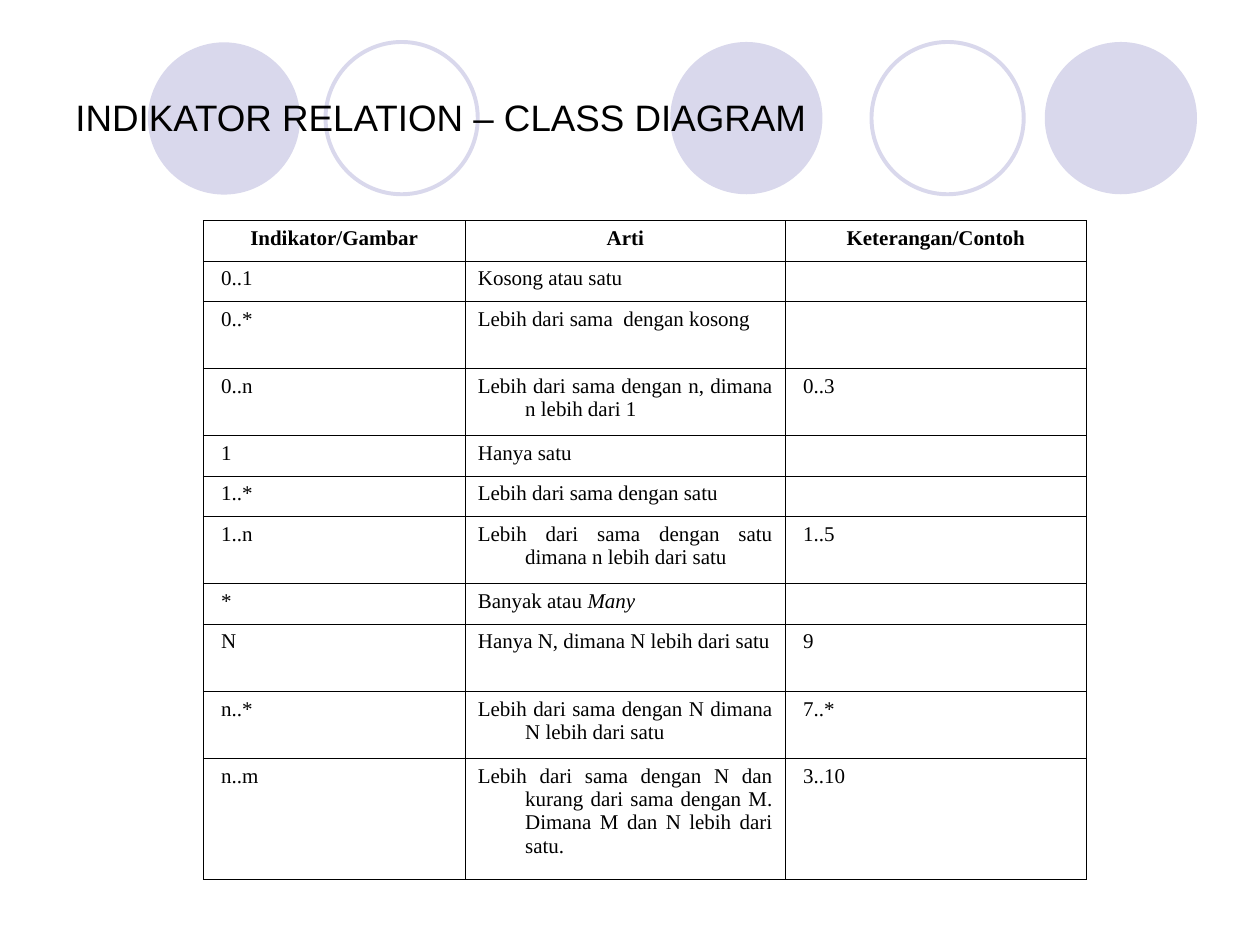
from typing import NamedTuple

from lxml.etree import SubElement
from pptx import Presentation
from pptx.dml.color import RGBColor
from pptx.enum.shapes import MSO_SHAPE
from pptx.enum.text import MSO_ANCHOR, PP_ALIGN
from pptx.oxml.ns import qn
from pptx.util import Pt

LILAC, BLACK = "D9D8EC", "000000"
SERIF, SANS = "Times New Roman", "Arial"
SIZE = 12
SHORT, MID, TALL = 23.1, 38.4, 69.1


class Disc(NamedTuple):
    left: float
    top: float
    solid: bool


class Row(NamedTuple):
    tall: float
    sign: str
    sense: str
    case: str = ""
    slant: str = ""
    side: PP_ALIGN = PP_ALIGN.JUSTIFY


DISCS = [
    Disc(383, 24, True),
    Disc(597, 24, True),
    Disc(84.5, 24.2, True),
    Disc(498, 24, False),
    Disc(186, 24, False),
]
HEAD = Row(SHORT, "Indikator/Gambar", "Arti", "Keterangan/Contoh", side=PP_ALIGN.CENTER)
ROWS = [
    Row(SHORT, " 0..1", "Kosong atau satu"),
    Row(MID, " 0..*", "Lebih dari sama  dengan kosong"),
    Row(MID, " 0..n", "Lebih dari sama dengan n, dimana n lebih dari 1", " 0..3"),
    Row(SHORT, " 1", "Hanya satu"),
    Row(SHORT, " 1..*", "Lebih dari sama dengan satu"),
    Row(MID, " 1..n", "Lebih dari sama dengan satu dimana n lebih dari satu", " 1..5"),
    Row(SHORT, " *", "Banyak atau ", slant="Many"),
    Row(MID, " N", "Hanya N, dimana N lebih dari satu", " 9"),
    Row(MID, " n..*", "Lebih dari sama dengan N dimana N lebih dari satu", " 7..*"),
    Row(TALL, " n..m", "Lebih dari sama dengan N dan kurang dari sama dengan M. "
        "Dimana M dan N lebih dari satu.", " 3..10"),
]
COLS = [149.7, 182.9, 172]


def paint(code: str) -> RGBColor:
    return RGBColor.from_string(code)


def add_run(para, text: str, face: str, size: float, bold=False, slant=False) -> None:
    run = para.add_run()
    run.text = text
    font = run.font
    font.name, font.size, font.bold, font.italic = face, Pt(size), bold, slant
    font.color.rgb = paint(BLACK)


def draw_disc(slide, disc: Disc) -> None:
    shape = slide.shapes.add_shape(
        MSO_SHAPE.OVAL, Pt(disc.left), Pt(disc.top), Pt(87), Pt(87))
    shape.shadow.inherit = False
    if disc.solid:
        shape.fill.solid()
        shape.fill.fore_color.rgb = paint(LILAC)
        shape.line.fill.background()
    else:
        shape.fill.background()
        shape.line.color.rgb = paint(LILAC)
        shape.line.width = Pt(2.25)


def draw_title(slide, text: str) -> None:
    frame = slide.shapes.add_textbox(Pt(36), Pt(21.6), Pt(648), Pt(90)).text_frame
    frame.word_wrap = True
    frame.vertical_anchor = MSO_ANCHOR.MIDDLE
    add_run(frame.paragraphs[0], text, SANS, 21)


def rule_cell(cell) -> None:
    props = cell._tc.get_or_add_tcPr()
    for side in ("a:lnL", "a:lnR", "a:lnT", "a:lnB"):
        line = SubElement(props, qn(side), w=str(Pt(0.45)))
        SubElement(SubElement(line, qn("a:solidFill")), qn("a:srgbClr"), val=BLACK)
    cell.fill.background()


def fill_cell(cell, text: str, side: PP_ALIGN, bold: bool, slant: str) -> None:
    rule_cell(cell)
    para = cell.text_frame.paragraphs[0]
    if not text:
        # Keeps an empty cell as low as its row
        SubElement(para._p, qn("a:endParaRPr"), sz=str(SIZE * 100))
        return
    para.alignment = side
    props = para._p.get_or_add_pPr()
    props.set("marL", str(Pt(27)))
    props.set("indent", str(Pt(-27)))
    add_run(para, text, SERIF, SIZE, bold)
    if slant:
        add_run(para, slant, SERIF, SIZE, slant=True)


def draw_table(slide, rows: list[Row]) -> None:
    table = slide.shapes.add_table(
        len(rows), len(COLS), Pt(116.2), Pt(126), Pt(sum(COLS)),
        Pt(sum(row.tall for row in rows))).table
    table.first_row = table.horz_banding = False
    for col, wide in zip(table.columns, COLS):
        col.width = Pt(wide)
    for i, row in enumerate(rows):
        table.rows[i].height = Pt(row.tall)
        for j, text in enumerate((row.sign, row.sense, row.case)):
            fill_cell(table.cell(i, j), text, row.side, row is HEAD,
                      row.slant if j == 1 else "")


def main() -> None:
    deck = Presentation()
    deck.slide_width, deck.slide_height = Pt(720), Pt(540)
    slide = deck.slides.add_slide(deck.slide_layouts[6])

    # Discs behind the title
    for disc in DISCS:
        draw_disc(slide, disc)

    # Title and table
    draw_title(slide, "INDIKATOR RELATION – CLASS DIAGRAM")
    draw_table(slide, [HEAD, *ROWS])
    deck.save("out.pptx")


if __name__ == "__main__":
    main()
